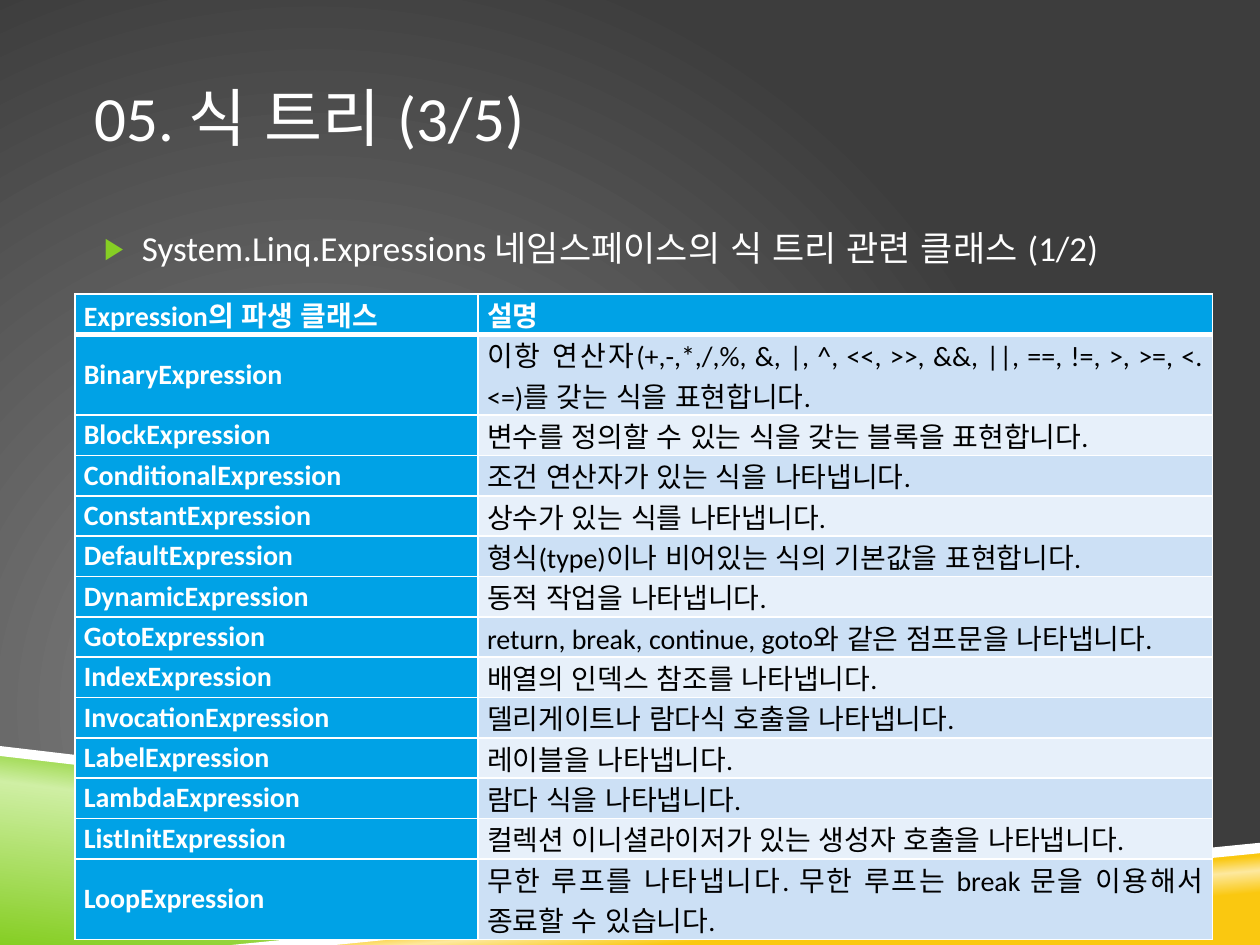
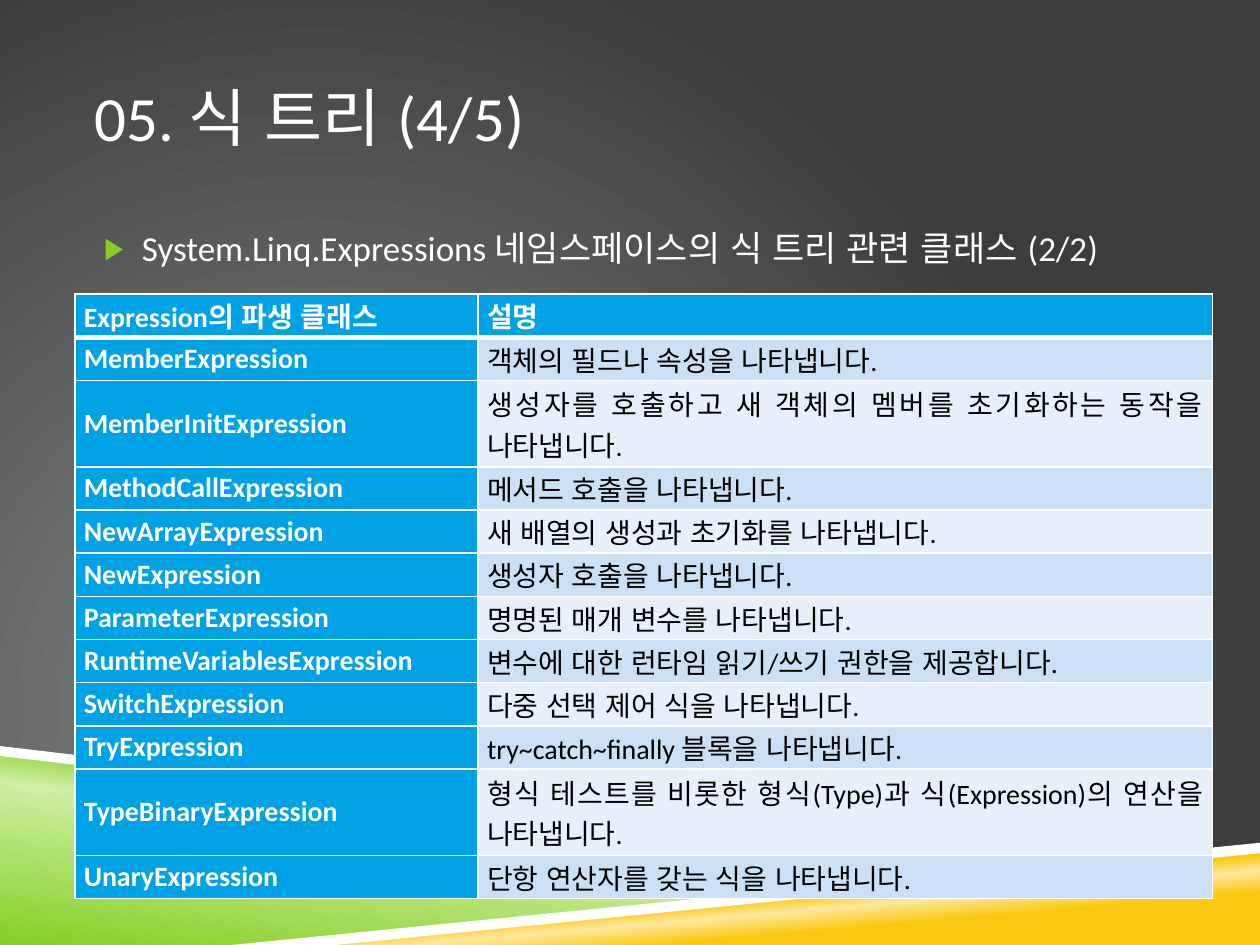
from dataclasses import dataclass
from typing import Any, NamedTuple

from lxml import etree
from pptx import Presentation
from pptx.dml.color import RGBColor
from pptx.enum.lang import MSO_LANGUAGE_ID
from pptx.enum.text import MSO_ANCHOR, PP_ALIGN
from pptx.oxml.ns import qn
from pptx.util import Cm, Pt

MIDDLE, TOP = MSO_ANCHOR.MIDDLE, MSO_ANCHOR.TOP
JUSTIFY, LEFT = PP_ALIGN.JUSTIFY, PP_ALIGN.LEFT
KOREAN = MSO_LANGUAGE_ID.KOREAN

WHITE, BLACK = "FFFFFF", "000000"
GREEN, PALE_GREEN = "86CE24", "CFEFA4"
YELLOW, PALE_YELLOW = "FAC810", "FDE99F"
GREY, DARK_GREY = "878787", "3D3D3D"
BLUE = "00A2E6"
ROW_FILLS = ("CCE0F5", "E7F0FA")

TITLE_FONT = {"size": Pt(36), "name": "Calibri", "language_id": KOREAN}
BODY_FONT = TITLE_FONT | {"size": Pt(20)}
HEAD_FONT = TITLE_FONT | {"size": Pt(16), "bold": True}
CELL_FONT = HEAD_FONT | {"bold": False}
CELL_FORMAT = {
    "margin_left": Cm(0.18),
    "margin_right": Cm(0.18),
    "margin_top": 0,
    "margin_bottom": 0,
    "vertical_anchor": MIDDLE,
}
COLUMN_WIDTHS = (8.13, 14.8)
TABLE_LEFT, TABLE_TOP = 1.51, 5.93
HEADINGS = ("Expression의 파생 클래스", "설명")


class Stop(NamedTuple):
    percent: int
    color: str


class Box(NamedTuple):
    left: float
    top: float
    width: float
    height: float


class Row(NamedTuple):
    name: str
    description: str
    lines: int = 1


@dataclass(frozen=True)
class Band:
    points: tuple[tuple[float, float], ...]
    stops: tuple[Stop, ...] = ()
    angle: int = 0


@dataclass(frozen=True)
class Page:
    title: str
    subtitle: str
    table_height: float
    rows: tuple[Row, ...]


TITLE_BOX = Box(1.91, 0.76, 21.59, 3.18)
BODY_BOX = Box(1.91, 4.45, 21.59, 11.28)

BANDS = (
    Band(
        ((0, 15.16), (20.12, 17.58), (5.08, 19.05), (0, 19.05)),
        (Stop(0, GREEN), Stop(52, PALE_GREEN), Stop(66, GREEN)),
        277,
    ),
    Band(
        ((5.03, 19.05), (25.4, 17.07), (25.4, 19.05)),
        (Stop(28, YELLOW), Stop(40, PALE_YELLOW), Stop(48, YELLOW)),
        265,
    ),
    Band(((0, 15.04), (0, 15.24), (20.07, 17.6), (21.13, 17.53))),
    Band(((25.4, 16.99), (4.67, 19.05), (6.76, 19.05), (25.4, 17.2))),
)

PAGES = (
    Page(
        "05. 식 트리 (3/5)",
        "System.Linq.Expressions 네임스페이스의 식 트리 관련 클래스 (1/2)",
        13.02,
        (
            Row(
                "BinaryExpression",
                "이항 연산자(+,-,*,/,%, &, |, ^, <<, >>, &&, ||, ==, !=, >, >=, <. <=)를 갖는 식을 표현합니다.",
                2,
            ),
            Row("BlockExpression", "변수를 정의할 수 있는 식을 갖는 블록을 표현합니다."),
            Row("ConditionalExpression", "조건 연산자가 있는 식을 나타냅니다."),
            Row("ConstantExpression", "상수가 있는 식를 나타냅니다."),
            Row("DefaultExpression", "형식(type)이나 비어있는 식의 기본값을 표현합니다."),
            Row("DynamicExpression", "동적 작업을 나타냅니다."),
            Row("GotoExpression", "return, break, continue, goto와 같은 점프문을 나타냅니다."),
            Row("IndexExpression", "배열의 인덱스 참조를 나타냅니다."),
            Row("InvocationExpression", "델리게이트나 람다식 호출을 나타냅니다."),
            Row("LabelExpression", "레이블을 나타냅니다."),
            Row("LambdaExpression", "람다 식을 나타냅니다."),
            Row("ListInitExpression", "컬렉션 이니셜라이저가 있는 생성자 호출을 나타냅니다."),
            Row(
                "LoopExpression",
                "무한 루프를 나타냅니다. 무한 루프는 break 문을 이용해서 종료할 수 있습니다.",
                2,
            ),
        ),
    ),
    Page(
        "05. 식 트리 (4/5)",
        "System.Linq.Expressions 네임스페이스의 식 트리 관련 클래스 (2/2)",
        12.19,
        (
            Row("MemberExpression", "객체의 필드나 속성을 나타냅니다."),
            Row(
                "MemberInitExpression",
                "생성자를 호출하고 새 객체의 멤버를 초기화하는 동작을 나타냅니다.",
                2,
            ),
            Row("MethodCallExpression", "메서드 호출을 나타냅니다."),
            Row("NewArrayExpression", "새 배열의 생성과 초기화를 나타냅니다."),
            Row("NewExpression", "생성자 호출을 나타냅니다."),
            Row("ParameterExpression", "명명된 매개 변수를 나타냅니다."),
            Row("RuntimeVariablesExpression", "변수에 대한 런타임 읽기/쓰기 권한을 제공합니다."),
            Row("SwitchExpression", "다중 선택 제어 식을 나타냅니다."),
            Row("TryExpression", "try~catch~finally 블록을 나타냅니다."),
            Row(
                "TypeBinaryExpression",
                "형식 테스트를 비롯한 형식(Type)과 식(Expression)의 연산을 나타냅니다.",
                2,
            ),
            Row("UnaryExpression", "단항 연산자를 갖는 식을 나타냅니다."),
        ),
    ),
)


def rgb(color: str) -> RGBColor:
    return RGBColor.from_string(color)


def set_format(target: Any, values: dict[str, Any]) -> None:
    for key, value in values.items():
        setattr(target, key, value)


def add_xml(parent: Any, tag: str, **attributes: Any) -> Any:
    values = {key: str(value) for key, value in attributes.items()}
    return etree.SubElement(parent, qn(tag), values)


def set_gradient(fill: Any, element: Any, stops: tuple[Stop, ...]) -> Any:
    fill.gradient()
    grad = element.find(".//" + qn("a:gradFill"))
    for child in list(grad):
        grad.remove(child)
    gs_list = add_xml(grad, "a:gsLst")
    for stop in stops:
        gs = add_xml(gs_list, "a:gs", pos=stop.percent * 1000)
        add_xml(gs, "a:srgbClr", val=stop.color)
    return grad


def set_background(s: Any) -> None:
    stops = (Stop(0, GREY), Stop(100, DARK_GREY))
    grad = set_gradient(s.background.fill, s.element, stops)
    circle = add_xml(grad, "a:path", path="circle")
    add_xml(circle, "a:fillToRect", l=50000, t=100000, r=100000, b=50000)


def add_band(s: Any, band: Band) -> None:
    points = [(Cm(x), Cm(y)) for x, y in band.points]
    builder = s.shapes.build_freeform(*points[0])
    builder.add_line_segments(points[1:], close=True)
    sp = builder.convert_to_shape()
    sp.shadow.inherit = False
    sp.line.fill.background()
    if band.stops:
        grad = set_gradient(sp.fill, sp.element, band.stops)
        add_xml(grad, "a:lin", ang=band.angle * 60000, scaled=0)
    else:
        sp.fill.solid()
        sp.fill.fore_color.rgb = rgb(WHITE)


def write(tf: Any, text: str, font: dict[str, Any], color: str, align: PP_ALIGN) -> Any:
    p = tf.paragraphs[0]
    p.alignment = align
    r = p.add_run()
    r.text = text
    set_format(r.font, font)
    r.font.color.rgb = rgb(color)
    return p


def add_text(s: Any, box: Box, text: str, font: dict[str, Any], anchor: MSO_ANCHOR) -> Any:
    tf = s.shapes.add_textbox(*map(Cm, box)).text_frame
    set_format(tf, {"word_wrap": True, "margin_left": 0, "margin_right": 0, "vertical_anchor": anchor})
    return write(tf, text, font, WHITE, LEFT)


def add_bullet(p: Any) -> None:
    p.space_before = Pt(7)
    props = p._p.get_or_add_pPr()
    props.set("marL", str(Cm(0.95)))
    props.set("indent", str(Cm(-0.76)))
    add_xml(add_xml(props, "a:buClr"), "a:srgbClr", val=GREEN)
    add_xml(props, "a:buSzPct", val=85000)
    add_xml(props, "a:buFont", typeface="Calibri")
    add_xml(props, "a:buChar", char="▶")


def fill_cell(cell: Any, text: str, font: dict[str, Any], color: str, fill: str, borders: dict[str, int]) -> None:
    set_format(cell, CELL_FORMAT)
    props = cell._tc.get_or_add_tcPr()
    for side in "LRTB":
        line = add_xml(props, f"a:ln{side}", w=Pt(borders.get(side, 1)))
        add_xml(add_xml(line, "a:solidFill"), "a:srgbClr", val=WHITE)
    cell.fill.solid()
    cell.fill.fore_color.rgb = rgb(fill)
    write(cell.text_frame, text, font, color, JUSTIFY)


def add_class_table(s: Any, page: Page) -> None:
    rows = (Row(*HEADINGS), *page.rows)
    box = Box(TABLE_LEFT, TABLE_TOP, sum(COLUMN_WIDTHS), page.table_height)
    table = s.shapes.add_table(len(rows), 2, *map(Cm, box)).table
    for column, width in zip(table.columns, COLUMN_WIDTHS):
        column.width = Cm(width)
    line_height = page.table_height / sum(row.lines for row in rows)
    for i, row in enumerate(rows):
        table.rows[i].height = Cm(line_height * row.lines)
        borders = {0: {"B": 3}, 1: {"T": 3}}.get(i, {})
        fill_cell(table.cell(i, 0), row.name, HEAD_FONT, WHITE, BLUE, borders)
        style = (CELL_FONT, BLACK, ROW_FILLS[(i - 1) % 2]) if i else (HEAD_FONT, WHITE, BLUE)
        fill_cell(table.cell(i, 1), row.description, *style, borders)


def add_page(prs: Any, page: Page) -> None:
    s = prs.slides.add_slide(prs.slide_layouts[6])
    set_background(s)
    for band in BANDS:
        add_band(s, band)
    add_text(s, TITLE_BOX, page.title, TITLE_FONT, MIDDLE)
    add_bullet(add_text(s, BODY_BOX, page.subtitle, BODY_FONT, TOP))
    add_class_table(s, page)


def main() -> None:
    prs = Presentation()
    prs.slide_width, prs.slide_height = Cm(25.4), Cm(19.05)
    for page in PAGES:
        add_page(prs, page)
    prs.save("out.pptx")


if __name__ == "__main__":
    main()
